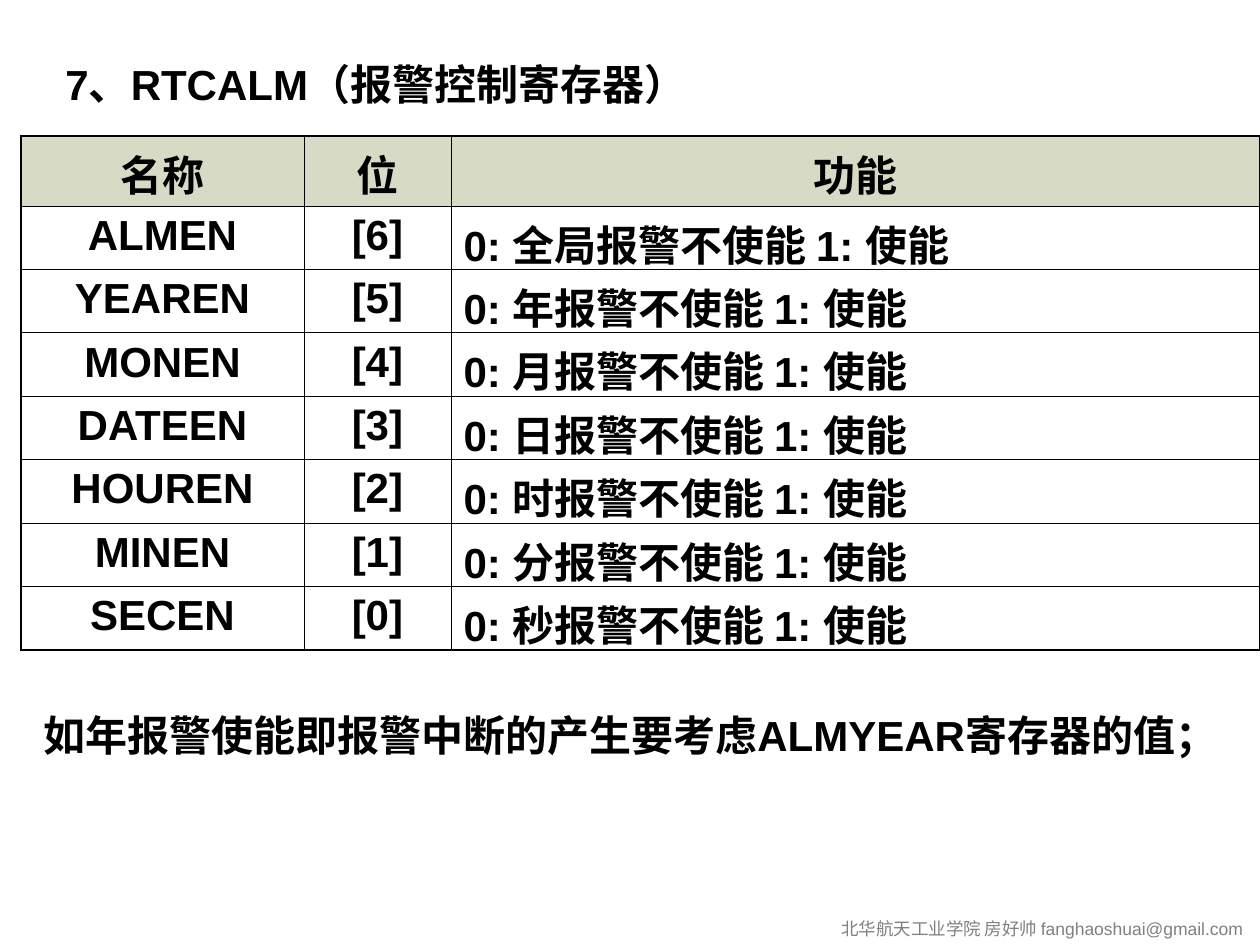
from dataclasses import dataclass

from lxml import etree
from pptx import Presentation
from pptx import util as u
from pptx.dml.color import RGBColor
from pptx.enum import text
from pptx.oxml.ns import qn

PX = 914400 / 126
BLACK = RGBColor(0, 0, 0)
GRAY = RGBColor(0x80, 0x80, 0x80)
HEADER_FILL = RGBColor(0xD7, 0xDA, 0xC4)
THIN, THICK = u.Pt(0.45), u.Pt(1.08)
BOLD = {"name": "Arial", "size": u.Pt(24), "bold": True}
SMALL = {"name": "Arial", "size": u.Pt(10), "bold": False}

COLUMN_WIDTHS = (283, 147, 809)
HEADER_HEIGHT, BODY_HEIGHT = 70, 444
HEADER_BOTTOM_MARGIN, BODY_BOTTOM_MARGIN = 1, -5
TABLE_LEFT, TABLE_TOP = 21, 136
HEADERS = ("名称", "位", "功能")
ALARMS = (
    ("ALMEN", "全局"),
    ("YEAREN", "年"),
    ("MONEN", "月"),
    ("DATEEN", "日"),
    ("HOUREN", "时"),
    ("MINEN", "分"),
    ("SECEN", "秒"),
)


@dataclass(frozen=True)
class Label:
    words: str
    left: int
    top: int
    width: int
    height: int
    font: dict
    color: RGBColor = BLACK
    wrap: bool = True


LABELS = (
    Label("7、RTCALM（报警控制寄存器）", 53, 52, 788, 63, BOLD),
    Label("北华航天工业学院 房好帅 fanghaoshuai@gmail.com",
          829, 912, 431, 34, SMALL, GRAY, False),
    Label("如年报警使能即报警中断的产生要考虑ALMYEAR寄存器的值；",
          31, 703, 1229, 63, BOLD),
)


def px(length: float) -> int:
    return round(length * PX)


def write(frame, words: str, font: dict, color: RGBColor, alignment) -> None:
    paragraph = frame.paragraphs[0]
    paragraph.alignment = alignment
    run = paragraph.add_run()
    run.text = words
    for name, value in font.items():
        setattr(run.font, name, value)
    run.font.color.rgb = color


def draw_label(slide, label: Label) -> None:
    box = slide.shapes.add_textbox(
        px(label.left), px(label.top), px(label.width), px(label.height))
    box.text_frame.word_wrap = label.wrap
    write(box.text_frame, label.words, label.font, label.color,
          text.PP_ALIGN.LEFT)


def draw_borders(cell, widths: dict) -> None:
    properties = cell._tc.get_or_add_tcPr()
    for side, width in widths.items():
        line = etree.SubElement(properties, qn(f"a:ln{side}"), w=str(width))
        fill = etree.SubElement(line, qn("a:solidFill"))
        etree.SubElement(fill, qn("a:srgbClr"), val=str(BLACK))


def draw_table(slide, rows: list) -> None:
    table = slide.shapes.add_table(
        len(rows), len(COLUMN_WIDTHS), px(TABLE_LEFT), px(TABLE_TOP),
        px(sum(COLUMN_WIDTHS)), px(HEADER_HEIGHT + BODY_HEIGHT)).table
    table.first_row = table.horz_banding = False
    for column, width in zip(table.columns, COLUMN_WIDTHS):
        column.width = px(width)
    last_row, last_column = len(rows) - 1, len(COLUMN_WIDTHS) - 1
    for i, row in enumerate(rows):
        table.rows[i].height = px(BODY_HEIGHT / last_row if i else HEADER_HEIGHT)
        for j, words in enumerate(row):
            cell = table.cell(i, j)
            cell.margin_bottom = px(
                BODY_BOTTOM_MARGIN if i else HEADER_BOTTOM_MARGIN)
            draw_borders(cell, {
                "L": THIN if j else THICK,
                "R": THICK if j == last_column else THIN,
                "T": THIN if i else THICK,
                "B": THICK if i == last_row else THIN,
            })
            if i:
                cell.fill.background()
            else:
                cell.fill.solid()
                cell.fill.fore_color.rgb = HEADER_FILL
            left_aligned = i and j == last_column
            write(cell.text_frame, words, BOLD, BLACK,
                  text.PP_ALIGN.LEFT if left_aligned else text.PP_ALIGN.CENTER)


def main() -> None:
    presentation = Presentation()
    presentation.slide_width = u.Inches(10)
    presentation.slide_height = u.Inches(7.5)
    slide = presentation.slides.add_slide(presentation.slide_layouts[6])
    rows = [HEADERS] + [
        (name, f"[{len(ALARMS) - 1 - i}]", f"0: {unit}报警不使能 1: 使能")
        for i, (name, unit) in enumerate(ALARMS)
    ]
    draw_table(slide, rows)
    for label in LABELS:
        draw_label(slide, label)
    presentation.save("out.pptx")


if __name__ == "__main__":
    main()
